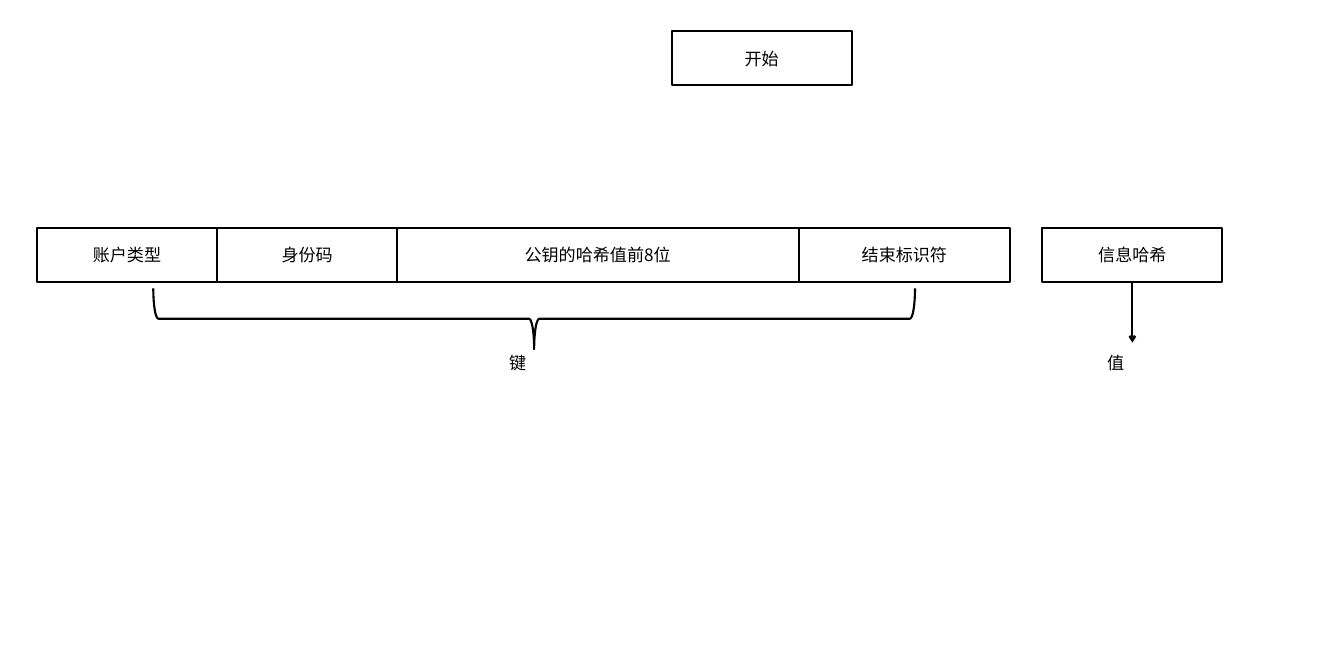
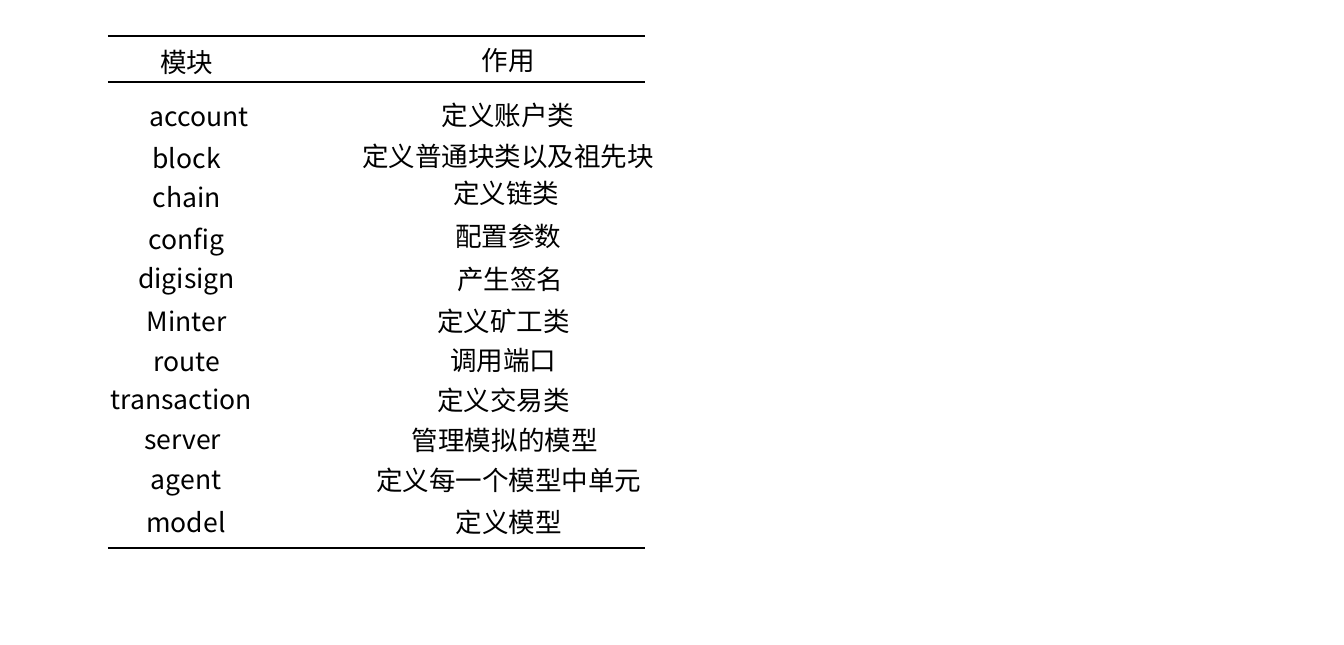
import dataclasses

import lxml.etree
import pptx
import pptx.dml.color
import pptx.enum.shapes
import pptx.enum.text
import pptx.oxml.ns
import pptx.util

Inches = pptx.util.Inches
SHAPES = pptx.enum.shapes.MSO_SHAPE
ALIGN = pptx.enum.text.PP_ALIGN
ANCHOR = pptx.enum.text.MSO_ANCHOR
AUTO_SIZE = pptx.enum.text.MSO_AUTO_SIZE

# Shared look
FONT = "Noto Sans CJK SC"
INK = "000000"
PAPER = "FFFFFF"
LABEL_SIZE, TABLE_SIZE = 18, 28
BOX_LINE, RULE_LINE = 2, 2.25
LABEL_FRAME = {"word_wrap": True, "auto_size": AUTO_SIZE.SHAPE_TO_FIT_TEXT}
BOX_FRAME = {"word_wrap": True, "vertical_anchor": ANCHOR.MIDDLE}

# Field boxes
BOX_WIDTH, BOX_HEIGHT = 2.64, 0.79
FIELD_TOP = 3.34

# Module list
RULE_LEFT, RULE_RIGHT = 1.58, 9.45
RULE_TOPS = (0.53, 1.2, 8.03)


@dataclasses.dataclass
class Field:
    text: str
    left: float
    top: float = FIELD_TOP
    width: float = BOX_WIDTH


@dataclasses.dataclass
class Label:
    text: str
    left: float
    top: float
    width: float
    height: float = 0.57
    size: float = TABLE_SIZE
    align: ALIGN = ALIGN.CENTER


@dataclasses.dataclass
class Module(Label):
    left: float = 1.83
    top: float = 0
    width: float = 1.81


@dataclasses.dataclass
class Purpose(Label):
    left: float = 4.65
    top: float = 0
    width: float = 5.59


FIELDS = [
    Field("开始", 9.84, 0.46),
    Field("账户类型", 0.54),
    Field("身份码", 3.18),
    Field("公钥的哈希值前8位", 5.81, width=5.89),
    Field("结束标识符", 11.7, width=3.1),
    Field("信息哈希", 15.27),
]

KEY_VALUE_LABELS = [
    Label(text, left, 5.12, 0.93, 0.4, LABEL_SIZE, ALIGN.LEFT)
    for text, left in (("键", 7.36), ("值", 16.12))
]

MODULE_ROWS = [
    (Module("模块", top=0.63), Purpose("作用", 6.54, 0.6, 1.81)),
    (Module("account", 0.32, 1.42, 5.2), Purpose("定义账户类", top=1.4)),
    (Module("block", top=2.03), Purpose("定义普通块类以及祖先块", top=2)),
    (Module("chain", top=2.6), Purpose("定义链类", 4.62, 2.55)),
    (Module("config", top=3.22), Purpose("配置参数", top=3.18)),
    (Module("digisign", top=3.79), Purpose("产生签名", 4.68, 3.8)),
    (Module("Minter", top=4.42), Purpose("定义矿工类", 6.2, 4.42, 2.36)),
    (Module("route", top=5), Purpose("调用端口", 4.58, 4.99)),
    (Module("transaction", 1.48, 5.56, 2.35), Purpose("定义交易类", 4.58, 5.57)),
    (Module("server", 1.5, 6.15, 2.35), Purpose("管理模拟的模型", 4.6, 6.16)),
    (Module("agent", 1.55, 6.73, 2.35), Purpose("定义每一个模型中单元", 4.66, 6.75)),
    (Module("model", 1.55, 7.36, 2.35), Purpose("定义模型", 4.66, 7.37)),
]


def color(value: str) -> pptx.dml.color.RGBColor:
    return pptx.dml.color.RGBColor.from_string(value)


def apply(target, values: dict) -> None:
    for name, value in values.items():
        setattr(target, name, value)


def write(box, text: str, size: float, align: ALIGN, frame_format: dict) -> None:
    apply(box.text_frame, frame_format)
    para = box.text_frame.paragraphs[0]
    para.alignment = align
    span = para.add_run()
    span.text = text
    apply(span.font, {"size": pptx.util.Pt(size), "name": FONT})
    span.font.color.rgb = color(INK)
    # East Asian characters take their own typeface
    east_asian = lxml.etree.SubElement(
        span.font._element, pptx.oxml.ns.qn("a:ea"))
    east_asian.set("typeface", FONT)


def stroke(line, width: float) -> None:
    line.color.rgb = color(INK)
    line.width = pptx.util.Pt(width)


def add_outline(page, kind: SHAPES, left: float, top: float, width: float,
                height: float, weight: float):
    box = page.shapes.add_shape(
        kind, Inches(left), Inches(top), Inches(width), Inches(height))
    box.shadow.inherit = False
    stroke(box.line, weight)
    return box


def add_field(page, field: Field) -> None:
    box = add_outline(page, SHAPES.RECTANGLE, field.left, field.top,
                      field.width, BOX_HEIGHT, BOX_LINE)
    box.fill.solid()
    box.fill.fore_color.rgb = color(PAPER)
    write(box, field.text, LABEL_SIZE, ALIGN.CENTER, BOX_FRAME)


def add_label(page, label: Label) -> None:
    box = page.shapes.add_textbox(Inches(label.left), Inches(label.top),
                                  Inches(label.width), Inches(label.height))
    write(box, label.text, label.size, label.align, LABEL_FRAME)


def add_line(page, left: float, top: float, right: float, bottom: float,
             arrow: bool = False) -> None:
    line = page.shapes.add_connector(
        pptx.enum.shapes.MSO_CONNECTOR.STRAIGHT,
        Inches(left), Inches(top), Inches(right), Inches(bottom))
    stroke(line.line, RULE_LINE)
    properties = line._element.spPr
    if arrow:
        outline = properties.find(pptx.oxml.ns.qn("a:ln"))
        head = lxml.etree.SubElement(outline, pptx.oxml.ns.qn("a:tailEnd"))
        head.set("type", "arrow")
    lxml.etree.SubElement(properties, pptx.oxml.ns.qn("a:effectLst"))


def build_key_value(page) -> None:
    for field in FIELDS:
        add_field(page, field)
    # Brace under the fields that form the key
    brace = add_outline(page, SHAPES.RIGHT_BRACE, 7.38, -0.91, 0.89, 11.16,
                        RULE_LINE)
    brace.rotation = 90
    brace.fill.background()
    for label in KEY_VALUE_LABELS:
        add_label(page, label)
    # Arrow from the hash to its value
    middle = FIELDS[-1].left + BOX_WIDTH / 2
    add_line(page, middle, FIELD_TOP + BOX_HEIGHT, middle, 5.02, arrow=True)


def build_modules(page) -> None:
    for top in RULE_TOPS:
        add_line(page, RULE_LEFT, top, RULE_RIGHT, top)
    for row in MODULE_ROWS:
        for label in row:
            add_label(page, label)


def main() -> None:
    deck = pptx.Presentation()
    apply(deck, {"slide_width": Inches(19.69), "slide_height": Inches(9.45)})
    for build in (build_key_value, build_modules):
        build(deck.slides.add_slide(deck.slide_layouts[6]))
    deck.save("out.pptx")


if __name__ == "__main__":
    main()
